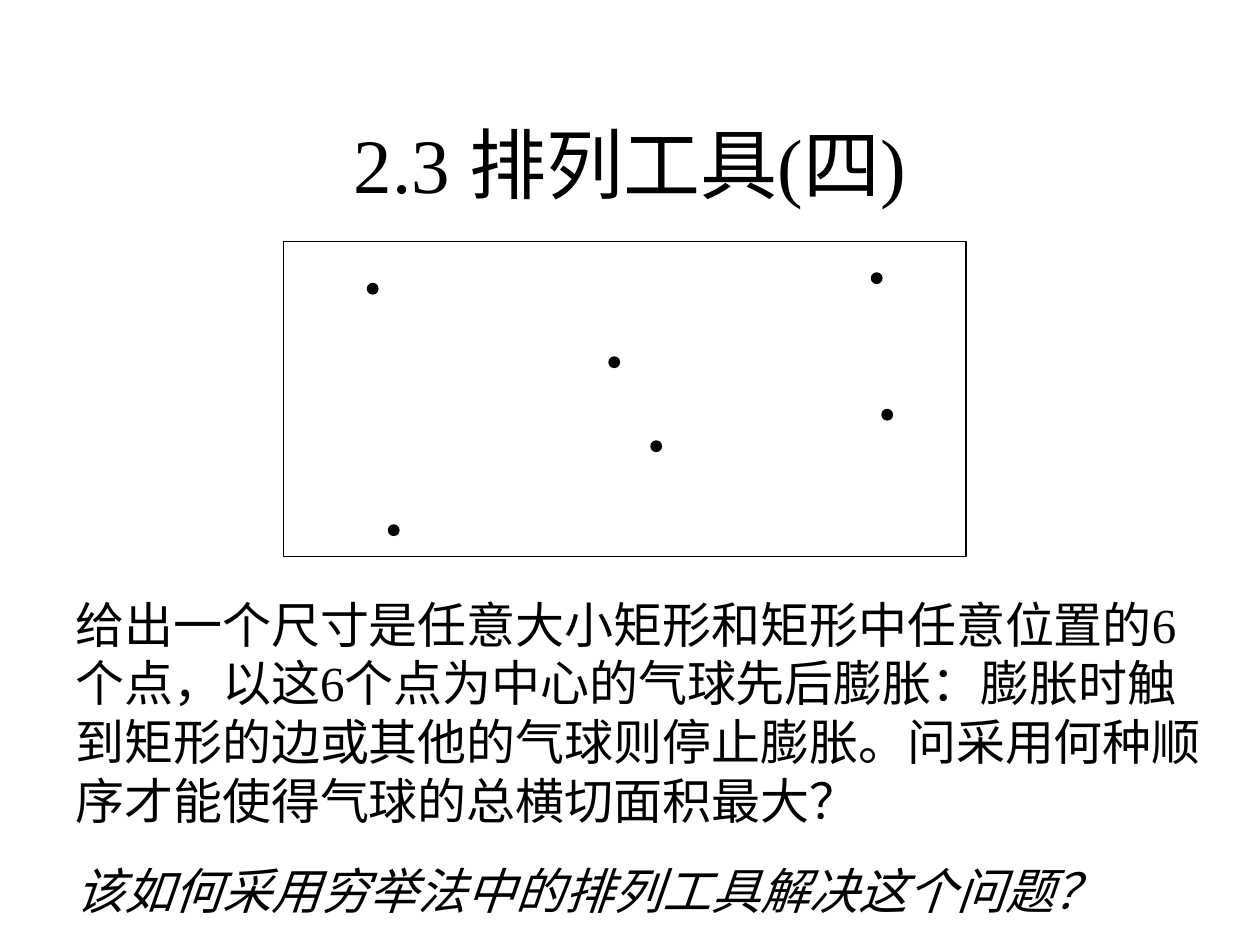
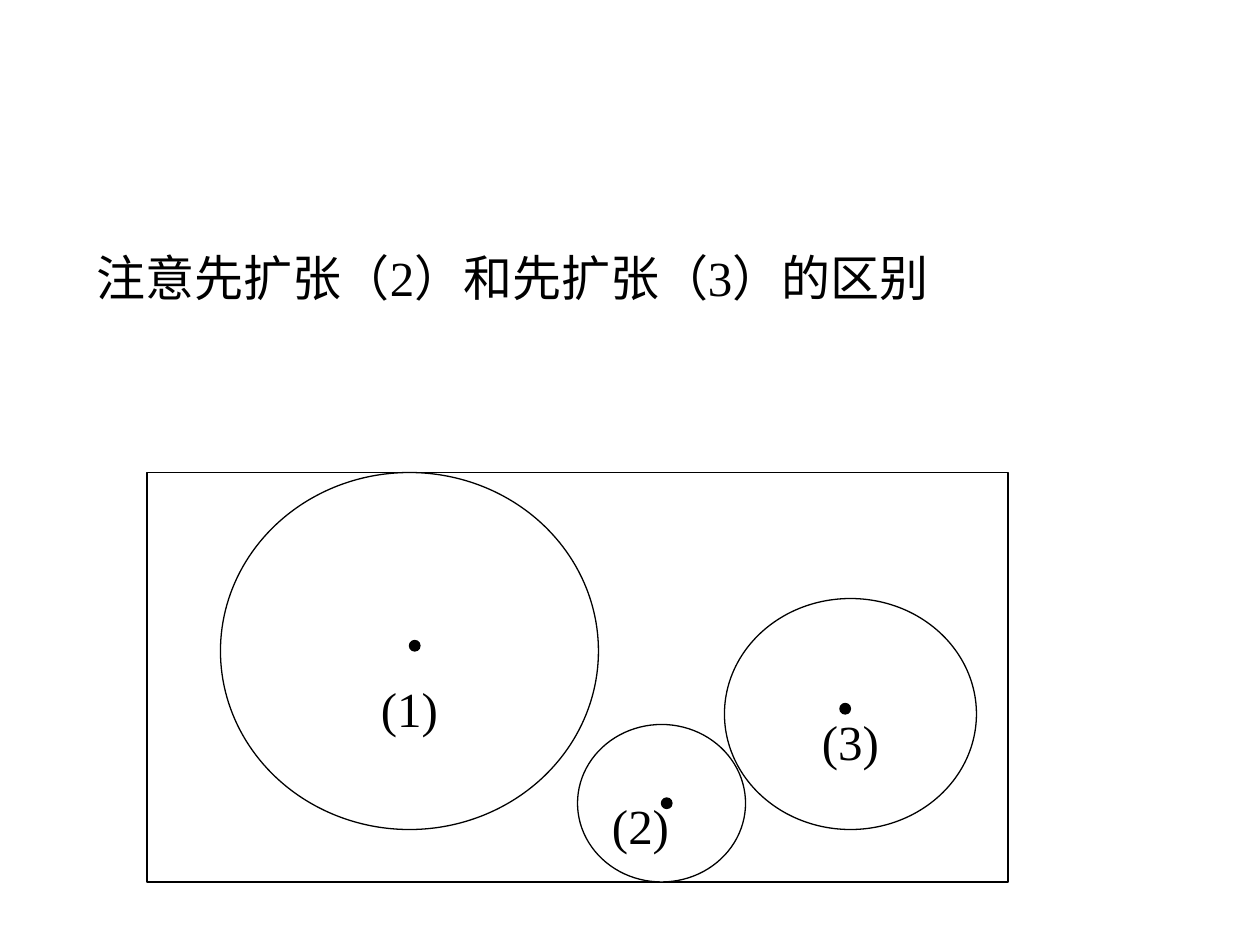
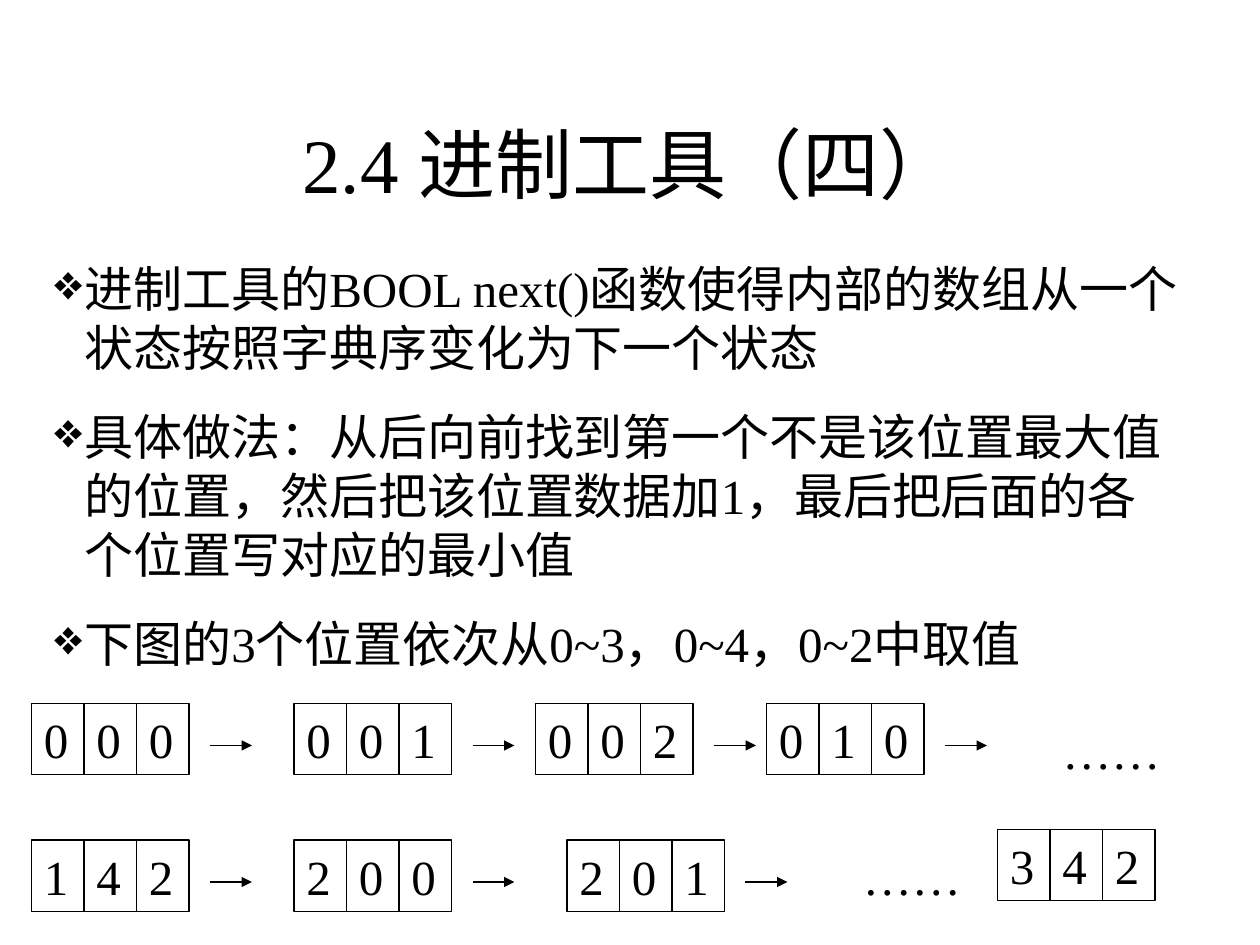
from typing import NamedTuple

from lxml import etree
from pptx import Presentation
from pptx.dml.color import RGBColor
from pptx.enum.lang import MSO_LANGUAGE_ID
from pptx.enum.shapes import MSO_CONNECTOR, MSO_SHAPE
from pptx.enum.text import MSO_ANCHOR, MSO_AUTO_SIZE, PP_ALIGN
from pptx.oxml.ns import qn
from pptx.util import Inches, Pt

RECT, OVAL = MSO_SHAPE.RECTANGLE, MSO_SHAPE.OVAL
STRAIGHT = MSO_CONNECTOR.STRAIGHT
LEFT, CENTER = PP_ALIGN.LEFT, PP_ALIGN.CENTER
TOP, MIDDLE = MSO_ANCHOR.TOP, MSO_ANCHOR.MIDDLE
FIT, NO_FIT = MSO_AUTO_SIZE.SHAPE_TO_FIT_TEXT, MSO_AUTO_SIZE.NONE
CHINESE = MSO_LANGUAGE_ID.SIMPLIFIED_CHINESE

BLACK = RGBColor(0x00, 0x00, 0x00)
WHITE = RGBColor(0xFF, 0xFF, 0xFF)
FONT = "Times New Roman"
TITLE_SIZE, BODY_SIZE = 44, 28
PARA_GAP = Pt(17.5)
LINE = Pt(0.75)
HANG = Inches(0.24)

# Grid of 120 columns by 90 rows, 12 cells to the inch
CELLS_PER_INCH = 12
LINE_ROWS = 6.8  # height of a box with one line of text
DIGIT_COLS = 5


class Box(NamedTuple):
    col: float
    row: float
    cols: float
    rows: float


class Para(NamedTuple):
    text: str
    italic: bool = False
    bullet: str = ""


class Balloon(NamedTuple):
    outline: Box
    center: tuple[float, float]
    label: str
    label_at: tuple[float, float]


class State(NamedTuple):
    digits: str
    col: float
    row: float
    arrow: bool = True


TITLE_BOX = Box(9, 8, 102, 15)


def cells(n: float) -> int:
    return Inches(n / CELLS_PER_INCH)


def place(box: Box) -> list[int]:
    return [cells(n) for n in box]


def write(shape, paras: list[Para], size: int = BODY_SIZE, align=LEFT,
          anchor=TOP, fit=FIT) -> None:
    tf = shape.text_frame
    tf.word_wrap = True
    tf.auto_size = fit
    tf.vertical_anchor = anchor
    for i, para in enumerate(paras):
        p = tf.paragraphs[0] if i == 0 else tf.add_paragraph()
        p.alignment = align
        if i:
            p.space_before = PARA_GAP
        if para.bullet:
            pPr = p._p.get_or_add_pPr()
            pPr.set("marL", str(HANG))
            pPr.set("indent", str(-HANG))
            etree.SubElement(pPr, qn("a:buChar"), char=para.bullet)
        r = p.add_run()
        r.text = para.text
        r.font.name = FONT
        r.font.size = Pt(size)
        r.font.color.rgb = BLACK
        r.font.language_id = CHINESE
        if para.italic:
            r.font.italic = True


def add_text(s, box: Box, paras: list[Para], **style) -> None:
    write(s.shapes.add_textbox(*place(box)), paras, **style)


def add_title(s, text: str) -> None:
    add_text(s, TITLE_BOX, [Para(text)], size=TITLE_SIZE, align=CENTER,
             anchor=MIDDLE, fit=NO_FIT)


def add_outline(s, kind, box: Box, fill: RGBColor | None = WHITE):
    sp = s.shapes.add_shape(kind, *place(box))
    sp.shadow.inherit = False
    if fill is None:
        sp.fill.background()
    else:
        sp.fill.solid()
        sp.fill.fore_color.rgb = fill
    sp.line.color.rgb = BLACK
    sp.line.width = LINE
    return sp


def add_dot(s, col: float, row: float) -> None:
    add_outline(s, OVAL, Box(col, row, 1, 1), BLACK)


def add_arrow(s, col: float, row: float, cols: float = 4) -> None:
    cx = s.shapes.add_connector(STRAIGHT, cells(col), cells(row),
                                cells(col + cols), cells(row))
    cx.line.color.rgb = BLACK
    cx.line.width = LINE
    etree.SubElement(cx.line._get_or_add_ln(), qn("a:tailEnd"), type="triangle")
    etree.SubElement(cx._element.spPr, qn("a:effectLst"))


def add_balloon(s, balloon: Balloon) -> None:
    add_outline(s, OVAL, balloon.outline)
    add_dot(s, *balloon.center)


def add_state(s, state: State) -> None:
    for i, digit in enumerate(state.digits):
        box = Box(state.col + i * DIGIT_COLS, state.row, DIGIT_COLS, LINE_ROWS)
        write(add_outline(s, RECT, box, None), [Para(digit)])
    if state.arrow:
        end = state.col + len(state.digits) * DIGIT_COLS
        add_arrow(s, end + 2, state.row + 4)


# Slide 1: the balloon problem
def permutation_slide(s) -> None:
    add_title(s, "2.3 排列工具(四)")
    add_outline(s, RECT, Box(27, 23, 65, 30))
    for point in ((35, 27), (58, 34), (84, 39), (83, 26), (37, 50), (62, 42)):
        add_dot(s, *point)
    add_text(s, Box(6, 56, 110, 32.2), [
        Para("给出一个尺寸是任意大小矩形和矩形中任意位置的6个点，以这6个点为中心的"
             "气球先后膨胀：膨胀时触到矩形的边或其他的气球则停止膨胀。问采用何种顺序"
             "才能使得气球的总横切面积最大？"),
        Para("该如何采用穷举法中的排列工具解决这个问题？", italic=True),
    ])


# Slide 2: the order of expansion matters
def balloon_slide(s) -> None:
    balloons = [
        Balloon(Box(55, 69, 16, 15), (63, 76), "(2)", (57, 75.2)),
        Balloon(Box(69, 57, 24, 22), (80, 67), "(3)", (77, 67.2)),
        Balloon(Box(21, 45, 36, 34), (39, 61), "(1)", (35, 64)),
    ]
    add_text(s, Box(8, 23, 104, LINE_ROWS),
             [Para("注意先扩张（2）和先扩张（3）的区别")])
    add_outline(s, RECT, Box(14, 45, 82, 39))
    for balloon in balloons:
        add_balloon(s, balloon)
    for balloon in balloons:
        add_text(s, Box(*balloon.label_at, 8, LINE_ROWS),
                 [Para(balloon.label)], align=CENTER)


# Slide 3: counting through the states
def radix_slide(s) -> None:
    add_title(s, "2.4 进制工具（四）")
    add_text(s, Box(4, 24, 110, 40.7), [Para(text, bullet="❖") for text in (
        "进制工具的BOOL next()函数使得内部的数组从一个状态按照字典序变化为下一个状态",
        "具体做法：从后向前找到第一个不是该位置最大值的位置，然后把该位置数据加1，"
        "最后把后面的各个位置写对应的最小值",
        "下图的3个位置依次从0~3，0~4，0~2中取值",
    )])
    for state in (
        State("000", 3, 67), State("001", 28, 67),
        State("002", 51, 67), State("010", 73, 67),
        State("142", 3, 80), State("200", 28, 80),
        State("201", 54, 80), State("342", 95, 79, arrow=False),
    ):
        add_state(s, state)
    for col, row in ((100, 68), (81, 80)):
        add_text(s, Box(col, row, 13, LINE_ROWS), [Para("……")])


def main() -> None:
    prs = Presentation()
    prs.slide_width, prs.slide_height = cells(120), cells(90)
    blank = prs.slide_layouts[6]
    for build in (permutation_slide, balloon_slide, radix_slide):
        build(prs.slides.add_slide(blank))
    prs.save("out.pptx")


if __name__ == "__main__":
    main()
